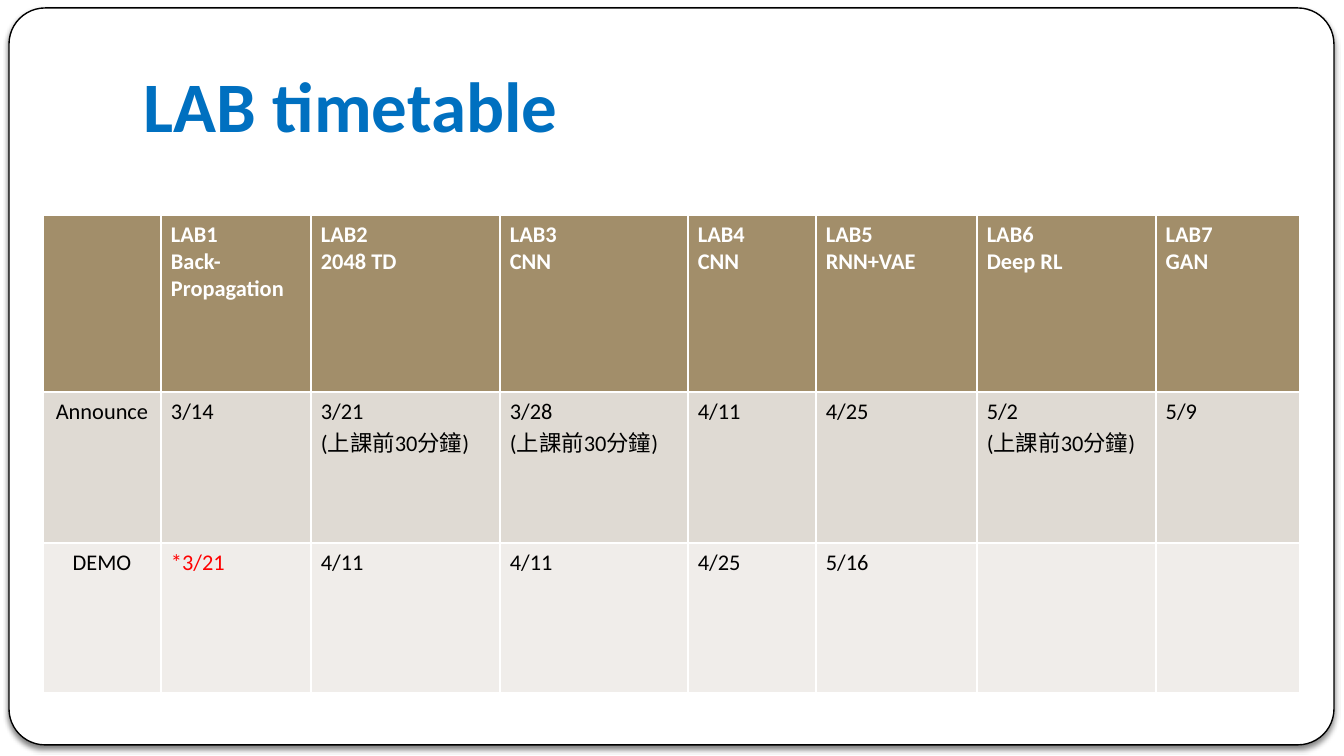
import pptx
import pptx.util
import pptx.oxml
import pptx.oxml.ns
import pptx.dml.color
import pptx.enum.shapes
import pptx.enum.text

ALIGN = pptx.enum.text.PP_ALIGN
ANCHOR = pptx.enum.text.MSO_ANCHOR
NS = pptx.oxml.ns.nsdecls("a")


def px(n):
    return pptx.util.Emu(round(n * 914400 / 134.4))


def tint(code):
    return pptx.dml.color.RGBColor.from_string(code)


def write(frame, text, size=12, color="000000", bold=False, align=ALIGN.LEFT,
          anchor=ANCHOR.TOP, font="Calibri"):
    frame.word_wrap = True
    frame.vertical_anchor = anchor
    for i, line in enumerate(text.split("\n")):
        para = frame.paragraphs[0] if i == 0 else frame.add_paragraph()
        para.alignment = align
        face = para.font
        if line:
            run = para.add_run()
            run.text = line
            face = run.font
        face.name, face.size, face.bold = font, pptx.util.Pt(size), bold
        face.color.rgb = tint(color)


class Deck:
    ink, blue, red, white = "000000", "0070C0", "FF0000", "FFFFFF"
    bands = ["A28E6A", "DFDAD3", "F0EDEA"]

    def __init__(self, wide, high):
        self.prs = pptx.Presentation()
        self.prs.slide_width, self.prs.slide_height = px(wide), px(high)
        self.slide = self.prs.slides.add_slide(self.prs.slide_layouts[5])

    def panel(self, *box):
        shape = self.slide.shapes.add_shape(
            pptx.enum.shapes.MSO_SHAPE.ROUNDED_RECTANGLE, *map(px, box))
        shape.adjustments[0] = 0.049
        shape.fill.solid()
        shape.fill.fore_color.rgb = tint(self.white)
        shape.line.color.rgb = tint(self.ink)
        shape.line.width = pptx.util.Pt(0.75)
        shape._element.spPr.append(pptx.oxml.parse_xml(
            f'<a:effectLst {NS}><a:outerShdw blurRad="38100" dist="25400" '
            f'dir="5400000" rotWithShape="0"><a:srgbClr val="{self.ink}">'
            '<a:alpha val="50000"/></a:srgbClr></a:outerShdw></a:effectLst>'))
        # Send behind the title
        tree = shape._element.getparent()
        tree.insert(2, shape._element)

    def title(self, text, *box):
        shape = self.slide.shapes.title
        shape.left, shape.top, shape.width, shape.height = map(px, box)
        frame = shape.text_frame
        frame.auto_size = pptx.enum.text.MSO_AUTO_SIZE.NONE
        frame.margin_left = frame.margin_right = frame.margin_bottom = px(10)
        frame.margin_top = px(5)
        write(frame, text, size=38, color=self.blue, bold=True,
              anchor=ANCHOR.BOTTOM)

    def edge(self, cell):
        props = cell._tc.get_or_add_tcPr()
        for side in "LRTB":
            props.append(pptx.oxml.parse_xml(
                f'<a:ln{side} {NS} w="12192"><a:solidFill>'
                f'<a:srgbClr val="{self.white}"/></a:solidFill></a:ln{side}>'))

    def table(self, left, top, cols, rows, data):
        grid = self.slide.shapes.add_table(
            len(rows), len(cols), px(left), px(top),
            px(sum(cols)), px(sum(rows))).table
        grid.horz_banding = False
        for c, wide in enumerate(cols):
            grid.columns[c].width = px(wide)
        for r, high in enumerate(rows):
            grid.rows[r].height = px(high)
            for c, text in enumerate(data[r]):
                cell = grid.cell(r, c)
                cell.margin_left = cell.margin_right = px(10)
                cell.margin_top = cell.margin_bottom = px(6)
                self.edge(cell)
                cell.fill.solid()
                cell.fill.fore_color.rgb = tint(self.bands[r])
                color = self.white if r == 0 else self.ink
                if text.startswith("*"):
                    color = self.red
                write(cell.text_frame, text, color=color, bold=r == 0,
                      align=ALIGN.LEFT if c else ALIGN.CENTER)


deck = Deck(1344, 756)

# Frame and title
deck.panel(9, 8, 1325, 737)
deck.title("LAB timetable", 134, 31, 1142, 126)

# Timetable
early = "\n(上課前30分鐘)"
deck.table(43, 215, [118, 150, 189, 188, 128, 161, 179, 144], [177, 151, 150], [
    ["", "LAB1\nBack-Propagation", "LAB2\n2048 TD", "LAB3\nCNN", "LAB4\nCNN",
     "LAB5\nRNN+VAE", "LAB6\nDeep RL", "LAB7\nGAN"],
    ["Announce", "3/14", "3/21" + early, "3/28" + early, "4/11", "4/25",
     "5/2" + early, "5/9"],
    ["DEMO", "*3/21", "4/11", "4/11", "4/25", "5/16", "", ""],
])

deck.prs.save("out.pptx")
